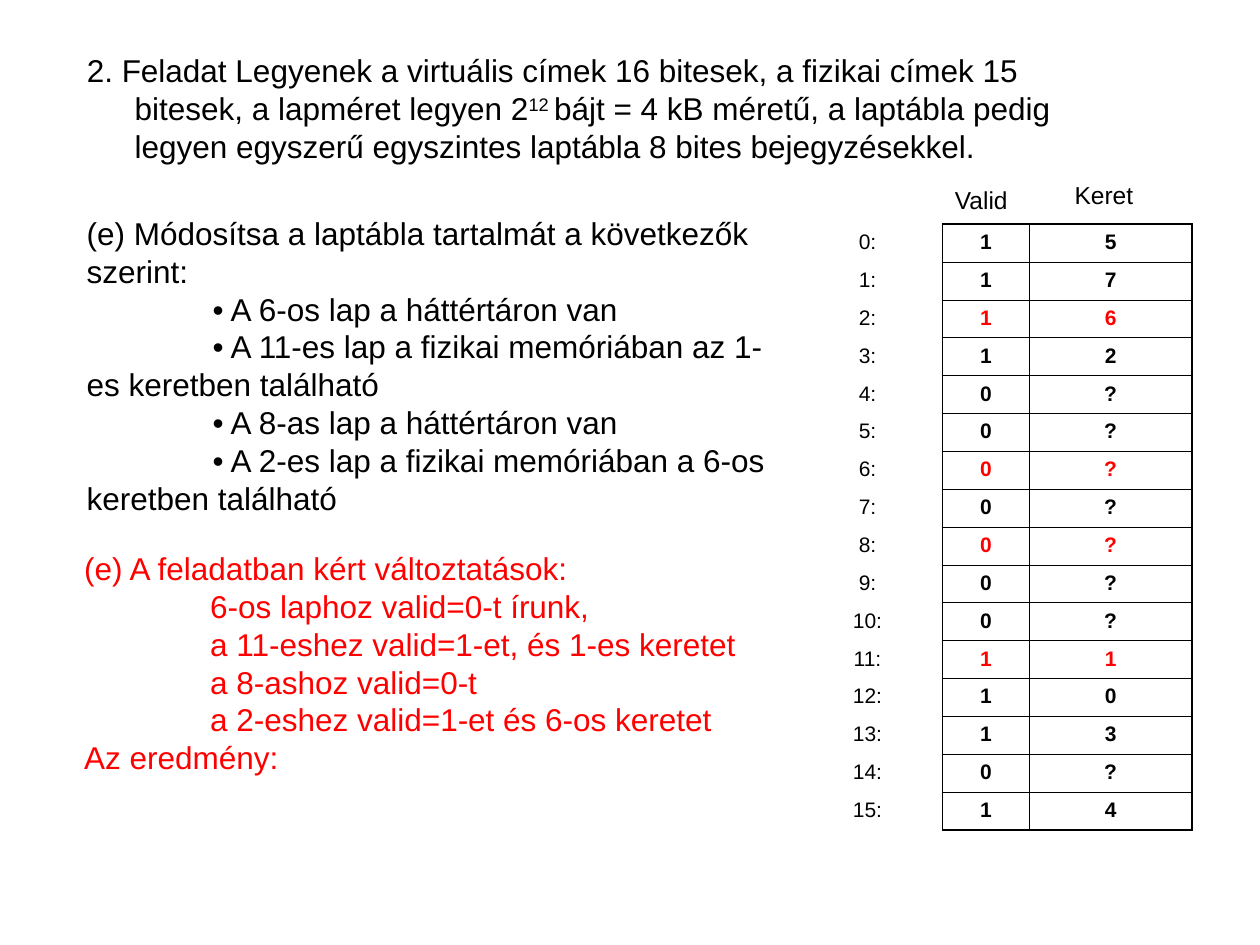
from pptx import Presentation
from pptx.dml.color import RGBColor
from pptx.enum.text import MSO_AUTO_SIZE as AutoSize, PP_ALIGN as Align
from pptx.oxml.ns import qn
from pptx.util import Inches, Pt
from lxml.etree import SubElement

BLACK, RED = "000000", "FF0000"
THICK, THIN = 1.08, 0.45
ROW_HEIGHT = 0.3
TABLE_TOP = 1.78
NO_STYLE = "{2D5ABB26-0587-4C30-8999-92F81FD0307C}"

PAGE_TABLE = [
    ("1", "5"), ("1", "7"), ("1", "6"), ("1", "2"),
    ("0", "?"), ("0", "?"), ("0", "?"), ("0", "?"),
    ("0", "?"), ("0", "?"), ("0", "?"), ("1", "1"),
    ("1", "0"), ("1", "3"), ("0", "?"), ("1", "4"),
]
CHANGED_PAGES = {2, 6, 8, 11}

PROBLEM = [
    ("2. Feladat Legyenek a virtuális címek 16 bitesek, a fizikai címek 15 "
     "bitesek, a lapméret legyen 2", 0),
    ("12 ", 30),
    ("bájt = 4 kB méretű, a laptábla pedig legyen egyszerű egyszintes "
     "laptábla 8 bites bejegyzésekkel.", 0),
]
TASK = [
    ("(e) Módosítsa a laptábla tartalmát a következők szerint:", 0),
    ("• A 6-os lap a háttértáron van", 1),
    ("• A 11-es lap a fizikai memóriában az 1-es keretben található", 1),
    ("• A 8-as lap a háttértáron van", 1),
    ("• A 2-es lap a fizikai memóriában a 6-os keretben található", 1),
]
ANSWER = [
    ("(e) A feladatban kért változtatások:", 0),
    ("6-os laphoz valid=0-t írunk,", 1),
    ("a 11-eshez valid=1-et, és 1-es keretet", 1),
    ("a 8-ashoz valid=0-t", 1),
    ("a 2-eshez valid=1-et és 6-os keretet", 1),
    ("Az eredmény:", 0),
]


def color(value):
    return RGBColor.from_string(value)


def write(paragraph, text, size=18, fill=BLACK, bold=False, font="Arial",
          align=Align.LEFT, before=0, margin=0, indent=0, baseline=0):
    """Add a run to the paragraph; baseline is a shift in percent."""
    paragraph.alignment = align
    paragraph.space_before = Pt(before)
    properties = paragraph._p.get_or_add_pPr()
    properties.set("marL", str(Inches(margin)))
    properties.set("indent", str(Inches(indent)))
    run = paragraph.add_run()
    run.text = text
    run.font.name = font
    run.font.size = Pt(size)
    run.font.bold = bold
    run.font.color.rgb = color(fill)
    if baseline:
        run._r.get_or_add_rPr().set("baseline", str(baseline * 1000))


def set_borders(cell, **widths):
    """Draw black cell borders; keys are L, R, T and B, values are points."""
    properties = cell._tc.get_or_add_tcPr()
    for side in "LRTB":
        line = SubElement(properties, qn(f"a:ln{side}"), w=str(Pt(widths[side])))
        fill = SubElement(line, qn("a:solidFill"))
        SubElement(fill, qn("a:srgbClr"), val=BLACK)


class SlideBuilder:
    def __init__(self, slide):
        self.slide = slide

    def text_box(self, left, top, width, height):
        """Add an empty wrapping box and return its text frame."""
        shape = self.slide.shapes.add_textbox(
            Inches(left), Inches(top), Inches(width), Inches(height))
        frame = shape.text_frame
        frame.word_wrap = True
        frame.auto_size = AutoSize.SHAPE_TO_FIT_TEXT
        return frame

    def lines(self, frame, items, **style):
        """Write (text, first-line indent) pairs, one a paragraph."""
        for number, (text, indent) in enumerate(items):
            paragraph = frame.add_paragraph() if number else frame.paragraphs[0]
            write(paragraph, text, indent=indent, **style)

    def table(self, left, top, widths, rows, red_rows=(), bold=False, ruled=False):
        shape = self.slide.shapes.add_table(
            len(rows), len(widths), Inches(left), Inches(top),
            Inches(sum(widths)), Inches(ROW_HEIGHT * len(rows)))
        table = shape.table
        table.first_row = table.horz_banding = False
        table._tbl.tblPr.find(qn("a:tableStyleId")).text = NO_STYLE
        for column, width in zip(table.columns, widths):
            column.width = Inches(width)
        last_row, last_column = len(rows) - 1, len(widths) - 1
        for r, values in enumerate(rows):
            table.rows[r].height = Inches(ROW_HEIGHT)
            for c, value in enumerate(values):
                cell = table.cell(r, c)
                if ruled:
                    set_borders(cell, L=THIN if c else THICK,
                                R=THICK if c == last_column else THIN,
                                T=THIN if r else THICK,
                                B=THICK if r == last_row else THIN)
                cell.fill.background()
                write(cell.text_frame.paragraphs[0], value, size=12, bold=bold,
                      fill=RED if r in red_rows else BLACK,
                      align=Align.CENTER, before=3)


def main():
    presentation = Presentation()
    presentation.slide_width = Inches(10)
    presentation.slide_height = Inches(7.5)
    builder = SlideBuilder(presentation.slides.add_slide(presentation.slide_layouts[6]))

    problem = builder.text_box(0.59, 0.36, 7.92, 1).paragraphs[0]
    for text, baseline in PROBLEM:
        write(problem, text, margin=0.38, indent=-0.38, baseline=baseline)

    builder.table(7.48, TABLE_TOP, [0.69, 1.29], PAGE_TABLE,
                  red_rows=CHANGED_PAGES, bold=True, ruled=True)
    page_numbers = [(f"{page}:",) for page in range(len(PAGE_TABLE))]
    builder.table(6.54, TABLE_TOP, [0.69], page_numbers)

    builder.lines(builder.text_box(0.59, 1.65, 5.76, 2.5), TASK)
    for heading, left, top in [("Valid", 7.48, 1.42), ("Keret", 8.43, 1.38)]:
        frame = builder.text_box(left, top, 0.75, 0.34)
        builder.lines(frame, [(heading, 0)], size=14, before=8.8)
    builder.lines(builder.text_box(0.57, 4.31, 6.13, 1.9), ANSWER, fill=RED)

    presentation.save("out.pptx")


if __name__ == "__main__":
    main()
